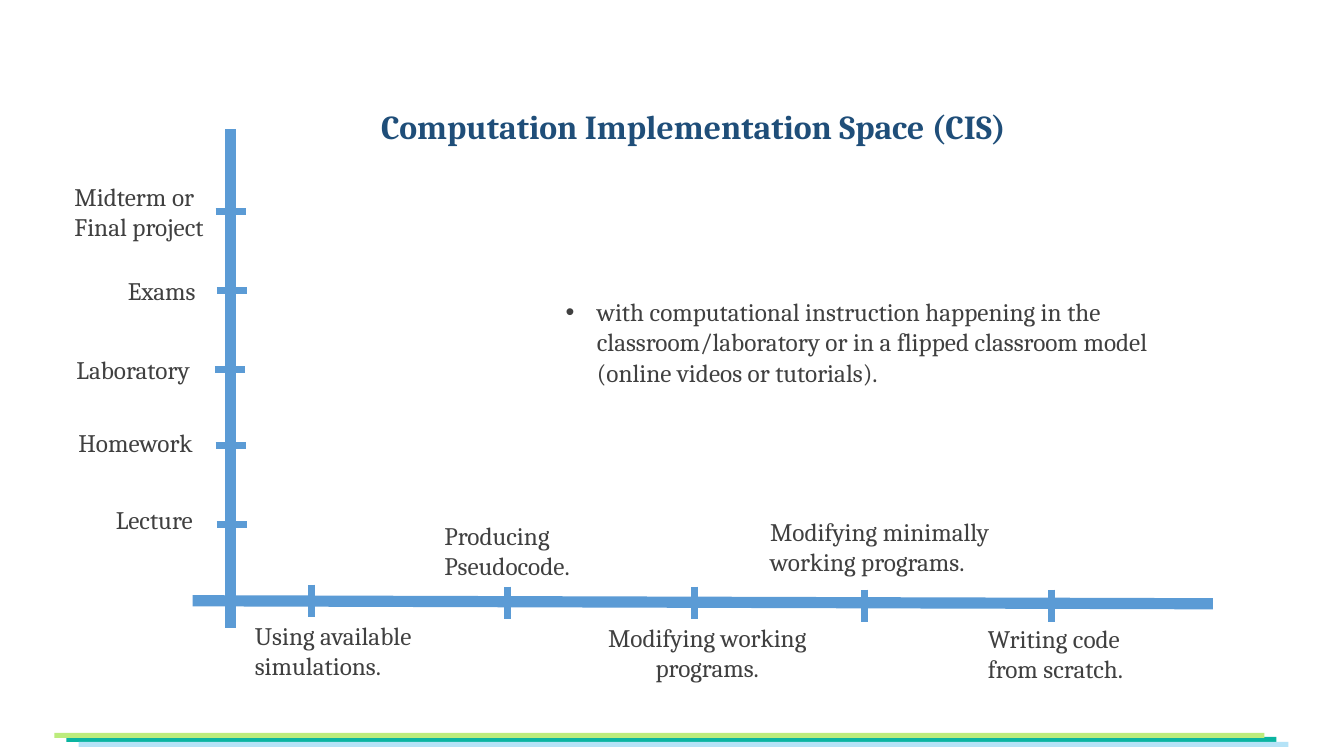
from dataclasses import dataclass

from lxml import etree
from pptx import Presentation
from pptx.dml.color import RGBColor
from pptx.enum.shapes import MSO_CONNECTOR, MSO_SHAPE
from pptx.enum.text import MSO_ANCHOR, MSO_AUTO_SIZE, PP_ALIGN
from pptx.oxml.ns import qn
from pptx.util import Inches, Pt

LINE = MSO_CONNECTOR.STRAIGHT
RECT = MSO_SHAPE.RECTANGLE
TOP = MSO_ANCHOR.TOP
NO_FIT = MSO_AUTO_SIZE.NONE
LEFT = PP_ALIGN.LEFT
CENTER = PP_ALIGN.CENTER

COLORS = {
    "title": "1F4E79",
    "text": "404040",
    "axis": "5B9BD5",
    "teal": "0AB4A0",
    "lime": "BCEC7C",
    "sky": "B5E3F7",
}
FRAME = {"word_wrap": True, "auto_size": NO_FIT, "vertical_anchor": TOP}
BODY_FONT = {"name": "Cambria", "size": Pt(18), "bold": False}
TITLE_FONT = {"name": "Cambria", "size": Pt(24), "bold": True}
PARAGRAPH = {"line_spacing": 1.0, "space_before": Pt(0), "space_after": Pt(0)}
TITLE_PARAGRAPH = {"line_spacing": 1.07, "space_before": Pt(0), "space_after": Pt(8)}


@dataclass
class Label:
    lines: list[str]
    left: float
    top: float
    width: float
    height: float = 0.71
    align: PP_ALIGN = LEFT


@dataclass
class Segment:
    x1: float
    y1: float
    x2: float
    y2: float
    weight: float = 5


@dataclass
class Stripe:
    color: str
    left: float
    top: float


TITLE = Label(["Computation Implementation Space (CIS)"], 3.68, 0.97, 7.44, 0.5)
BODY = Label(
    ["with computational instruction happening in the classroom/laboratory "
     "or in a flipped classroom model (online videos or tutorials)."],
    5.51, 2.89, 6.67, 1.01,
)
LABELS = [
    Label(["Using available simulations."], 2.43, 6.1, 1.9),
    Label(["Producing", "Pseudocode."], 4.31, 5.11, 1.8),
    Label(["Modifying working programs."], 5.78, 6.12, 2.47, align=CENTER),
    Label(["Modifying minimally working programs."], 7.54, 5.07, 2.46),
    Label(["Writing code from scratch."], 9.7, 6.13, 1.94),
    Label(["Lecture"], 1.05, 4.95, 1.8, 0.4),
    Label(["Homework"], 0.68, 4.19, 1.8, 0.4),
    Label(["Laboratory"], 0.66, 3.47, 1.8, 0.4),
    Label(["Exams"], 1.17, 2.68, 1.31, 0.4),
    Label(["Midterm or", "Final project"], 0.64, 1.75, 1.8),
]
AXES = [Segment(1.91, 5.96, 12.03, 5.99, 8), Segment(2.29, 6.23, 2.29, 1.28, 8)]
X_TICKS = [(3.09, 5.8), (5.03, 5.82), (6.89, 5.82), (8.57, 5.85), (10.43, 5.85)]
Y_TICKS = [(2.14, 2.1), (2.15, 2.88), (2.13, 3.67), (2.14, 4.42), (2.15, 5.2)]
SEGMENTS = (
    AXES
    + [Segment(x, y, x, y + 0.32) for x, y in X_TICKS]
    + [Segment(x, y, x + 0.3, y) for x, y in Y_TICKS]
)
STRIPES = [
    Stripe("teal", 0.66, 7.31),
    Stripe("lime", 0.54, 7.27),
    Stripe("sky", 0.78, 7.36),
]


def rgb(name: str) -> RGBColor:
    return RGBColor.from_string(COLORS[name])


def apply(target: object, values: dict) -> None:
    for name, value in values.items():
        setattr(target, name, value)


def write(sp, label: Label, font: dict, color: str, paragraph: dict) -> None:
    tf = sp.text_frame
    apply(tf, FRAME)
    for i, line in enumerate(label.lines):
        p = tf.add_paragraph() if i else tf.paragraphs[0]
        apply(p, paragraph)
        p.alignment = label.align
        r = p.add_run()
        r.text = line
        apply(r.font, font)
        r.font.color.rgb = rgb(color)


def box(label: Label) -> list:
    return [Inches(v) for v in (label.left, label.top, label.width, label.height)]


def place(sp, label: Label) -> None:
    apply(sp, dict(zip(("left", "top", "width", "height"), box(label))))


def add_stripe(slide, stripe: Stripe) -> None:
    sp = slide.shapes.add_shape(
        RECT, Inches(stripe.left), Inches(stripe.top), Inches(12), Inches(0.05))
    sp.shadow.inherit = False
    sp.fill.solid()
    sp.fill.fore_color.rgb = rgb(stripe.color)
    sp.line.fill.background()


def add_label(slide, label: Label) -> None:
    sp = slide.shapes.add_textbox(*box(label))
    write(sp, label, BODY_FONT, "text", PARAGRAPH)


def add_segment(slide, seg: Segment) -> None:
    ends = [Inches(v) for v in (seg.x1, seg.y1, seg.x2, seg.y2)]
    sp = slide.shapes.add_connector(LINE, *ends)
    sp.line.color.rgb = rgb("axis")
    sp.line.width = Pt(seg.weight)
    etree.SubElement(sp._element.spPr, qn("a:effectLst"))


def main() -> None:
    prs = Presentation()
    prs.slide_width, prs.slide_height = Inches(13.33), Inches(7.5)
    slide = prs.slides.add_slide(prs.slide_layouts[1])

    title, body = slide.placeholders
    place(title, TITLE)
    write(title, TITLE, TITLE_FONT, "title", TITLE_PARAGRAPH)
    place(body, BODY)
    write(body, BODY, BODY_FONT, "text", PARAGRAPH)
    pPr = body.text_frame.paragraphs[0]._p.get_or_add_pPr()
    pPr.set("marL", str(Inches(0.31)))
    pPr.set("indent", str(Inches(-0.31)))
    etree.SubElement(pPr, qn("a:buFont"), typeface="Arial")
    etree.SubElement(pPr, qn("a:buChar"), char="•")

    for stripe in STRIPES:
        add_stripe(slide, stripe)
    for label in LABELS:
        add_label(slide, label)
    for seg in SEGMENTS:
        add_segment(slide, seg)

    prs.save("out.pptx")


if __name__ == "__main__":
    main()
